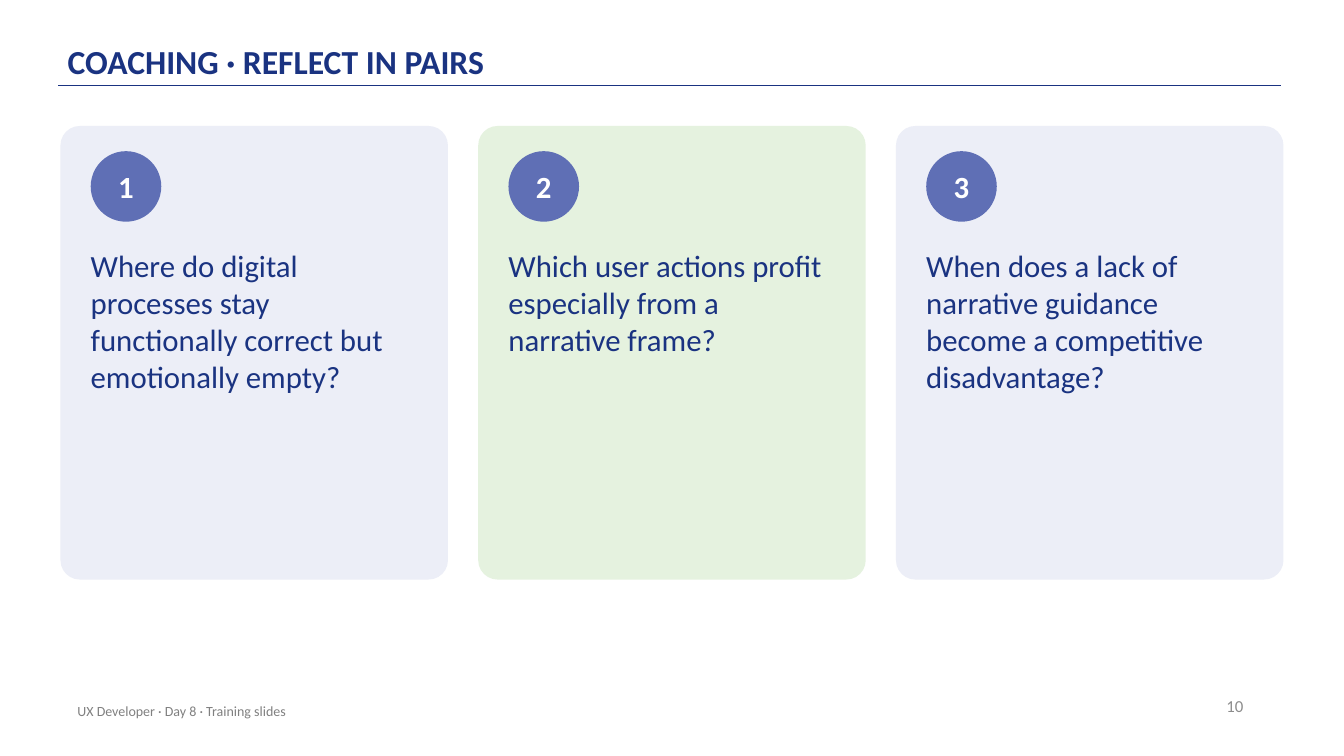
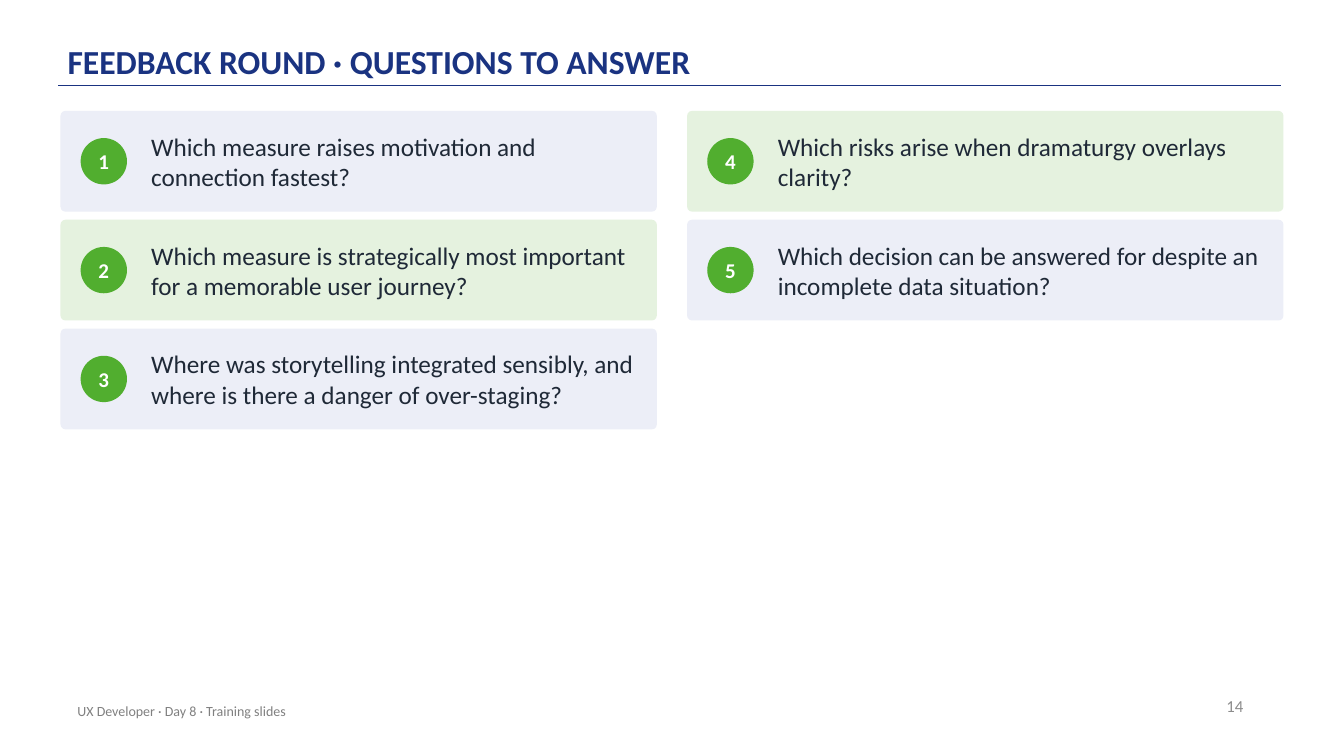
from dataclasses import dataclass
from typing import NamedTuple

from lxml.etree import SubElement
from pptx import Presentation
from pptx.dml.color import RGBColor
from pptx.enum.shapes import MSO_CONNECTOR as Connector, MSO_SHAPE as Shape
from pptx.enum.text import MSO_ANCHOR as Anchor, PP_ALIGN as Align
from pptx.oxml.ns import qn
from pptx.util import Inches, Pt


@dataclass(frozen=True)
class Theme:
    """Colours, type sizes and grid measures shared by all slides."""
    font: str = "Calibri"
    navy: str = "1A3381"
    indigo: str = "5F6FB5"
    green: str = "51AE2F"
    ink: str = "1F2937"
    white: str = "FFFFFF"
    number_grey: str = "8C8C8C"
    footer_grey: str = "808080"
    tints: tuple = ("ECEEF7", "E5F2DF")
    title_size: int = 24
    card_size: int = 22
    row_size: int = 18
    badge_size: int = 15
    number_size: int = 12
    footer_size: int = 10
    width: float = 13.33
    height: float = 7.5
    margin: float = 0.6
    gutter: float = 0.3


class Box(NamedTuple):
    """A rectangle in inches."""
    left: float
    top: float
    width: float
    height: float

    def emu(self):
        """Return the four lengths as English Metric Units."""
        return [Inches(length) for length in self]


THEME = Theme()
FOOTER = "UX Developer · Day 8 · Training slides"
REFLECTIONS = (
    "Where do digital processes stay functionally correct but emotionally empty?",
    "Which user actions profit especially from a narrative frame?",
    "When does a lack of narrative guidance become a competitive disadvantage?",
)
QUESTIONS = (
    "Which measure raises motivation and connection fastest?",
    "Which measure is strategically most important for a memorable user journey?",
    "Where was storytelling integrated sensibly, and where is there a danger of over-staging?",
    "Which risks arise when dramaturgy overlays clarity?",
    "Which decision can be answered for despite an incomplete data situation?",
)


def write(shape, text, *, size, color, bold=False, align=Align.LEFT, anchor=Anchor.TOP,
          insets=(0, 0), line_spacing=None, space_after=None):
    """Put formatted text into a shape."""
    frame = shape.text_frame
    frame.word_wrap = True
    frame.vertical_anchor = anchor
    frame.margin_left = frame.margin_right = Inches(insets[0])
    frame.margin_top = frame.margin_bottom = Inches(insets[1])
    para = frame.paragraphs[0]
    para.alignment = align
    para.line_spacing = line_spacing
    para.space_after = space_after
    span = para.add_run()
    span.text = text
    span.font.name = THEME.font
    span.font.size = Pt(size)
    span.font.bold = bold
    span.font.color.rgb = RGBColor.from_string(color)


def add_text(page, box, text, **style):
    """Add a text box."""
    write(page.shapes.add_textbox(*box.emu()), text, **style)


def add_filled(page, kind, box, color):
    """Add a flat preset shape without outline."""
    shape = page.shapes.add_shape(kind, *box.emu())
    shape.shadow.inherit = False
    shape.fill.solid()
    shape.fill.fore_color.rgb = RGBColor.from_string(color)
    shape.line.fill.background()
    return shape


def add_panel(page, box, index):
    """Add a rounded panel whose tint alternates with its index."""
    panel = add_filled(page, Shape.ROUNDED_RECTANGLE, box, THEME.tints[index % 2])
    panel.adjustments[0] = 0.05


def add_badge(page, box, index, color, size):
    """Add a numbered circle."""
    badge = add_filled(page, Shape.OVAL, box, color)
    write(badge, str(index + 1), size=size, color=THEME.white, bold=True,
          align=Align.CENTER, anchor=Anchor.MIDDLE)


def add_card(page, box, index, text):
    """Add a tall card with its badge above the question."""
    pad = 0.3
    add_panel(page, box, index)
    add_badge(page, Box(box.left + pad, box.top + 0.25, 0.7, 0.7), index,
              THEME.indigo, THEME.card_size)
    add_text(page, Box(box.left + pad, box.top + 1.2, box.width - 2 * pad, box.height - 1.4),
             text, size=THEME.card_size, color=THEME.navy, space_after=Pt(6))


def add_row(page, box, index, text):
    """Add a flat row with its badge left of the question."""
    pad, indent, badge = 0.2, 0.9, 0.46
    add_panel(page, box, index)
    add_badge(page, Box(box.left + pad, box.top + (box.height - badge) / 2, badge, badge),
              index, THEME.green, THEME.badge_size)
    add_text(page, Box(box.left + indent, box.top, box.width - indent - pad, box.height),
             text, size=THEME.row_size, color=THEME.ink, anchor=Anchor.MIDDLE)


def add_grid(page, texts, draw, *, top, columns, rows, height, row_gap=0):
    """Draw one item per grid cell, filling each column downwards."""
    usable = THEME.width - 2 * THEME.margin - (columns - 1) * THEME.gutter
    width = usable / columns
    for index, text in enumerate(texts):
        column, row = divmod(index, rows)
        box = Box(THEME.margin + column * (width + THEME.gutter),
                  top + row * (height + row_gap), width, height)
        draw(page, box, index, text)


def add_rule(page, left, right, top):
    """Add the thin line below the title."""
    rule = page.shapes.add_connector(Connector.STRAIGHT, Inches(left), Inches(top),
                                     Inches(right), Inches(top))
    rule.line.color.rgb = RGBColor.from_string(THEME.navy)
    rule.line.width = Pt(1)
    SubElement(rule.line._get_or_add_ln().getparent(), qn("a:effectLst"))


def add_page(deck, title, number):
    """Add a slide with title, rule, page number and footer."""
    page = deck.slides.add_slide(deck.slide_layouts[6])
    add_rule(page, 0.58, 12.71, 0.85)
    add_text(page, Box(0.67, 0.12, 11, 0.72), title, size=THEME.title_size, color=THEME.navy,
             bold=True, anchor=Anchor.BOTTOM, insets=(0, 0.03), line_spacing=0.9)
    small = {"anchor": Anchor.MIDDLE, "insets": (0.1, 0.05)}
    add_text(page, Box(9.43, 6.8, 3, 0.4), str(number), size=THEME.number_size,
             color=THEME.number_grey, align=Align.RIGHT, **small)
    add_text(page, Box(0.67, 6.85, 6.7, 0.4), FOOTER, size=THEME.footer_size,
             color=THEME.footer_grey, **small)
    return page


def main():
    """Build and save the deck."""
    deck = Presentation()
    deck.slide_width, deck.slide_height = Inches(THEME.width), Inches(THEME.height)
    coaching = add_page(deck, "COACHING · REFLECT IN PAIRS", 10)
    add_grid(coaching, REFLECTIONS, add_card, top=1.25, columns=3, rows=1, height=4.5)
    feedback = add_page(deck, "FEEDBACK ROUND · QUESTIONS TO ANSWER", 14)
    add_grid(feedback, QUESTIONS, add_row, top=1.1, columns=2, rows=3, height=1, row_gap=0.08)
    deck.save("out.pptx")


if __name__ == "__main__":
    main()
